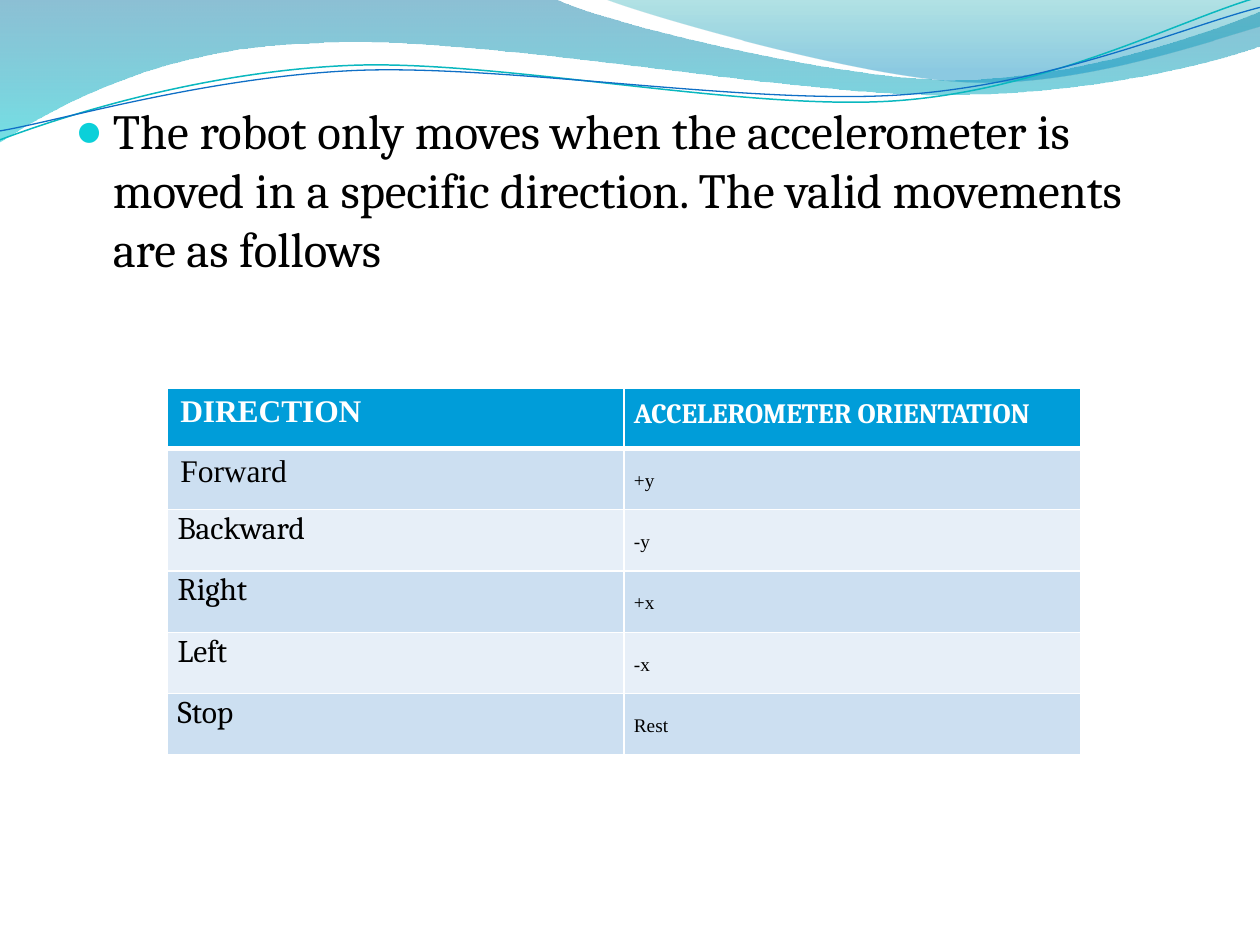
from lxml.etree import SubElement
from pptx import Presentation
from pptx.dml.color import RGBColor
from pptx.enum.text import MSO_ANCHOR
from pptx.oxml.ns import qn
from pptx.util import Cm, Pt

# Direction, orientation, whether the letters are set slightly tighter
ROWS = [("Forward", "+y", False), ("Backward", "-y", True), ("Right", "+x", True),
        ("Left", "-x", True), ("Stop", "Rest", False)]

# Sentence parts and whether they are set slightly tighter
SENTENCE = [("The robot only moves ", False), ("when ", True), ("the ", False),
            ("accelerometer is ", True), ("moved in a ", False),
            ("specific direction. ", True), ("The ", False),
            ("valid movements are as ", True), ("follows", False)]

# Wave outlines in cm from the box corner: 2 numbers for a line, 6 for a curve
LEFT_WAVE = [(0, 0), (11.18, -0.03),
             (12.09, 0.43, 16.87, 1.6, 19.25, 1.6),
             (21.67, 1.6, 24.33, 0.66, 25.4, 0.23), (25.43, 0.91),
             (24.97, 1.12, 22.1, 1.93, 18.95, 1.91),
             (15.8, 1.91, 9.7, 0.71, 6.53, 0.86),
             (3.28, 0.91, 1.17, 2.11, -0.03, 2.87), (0, 0)]
RIGHT_WAVE = [(12.17, -0.03),
              (12.93, 0.28, 17.32, 1.57, 19.53, 1.65),
              (21.74, 1.75, 24.41, 0.81, 25.4, 0.53), (25.4, 0), (12.17, -0.03)]
TEAL_LINE = [(0, 2.82),
             (1.22, 2.36, 4.01, 1.45, 7.04, 1.32),
             (10.03, 1.19, 15.06, 2.26, 18.11, 2.03),
             (21.16, 1.8, 23.83, 0.38, 25.35, -0.05)]
BLUE_LINE = [(0, 2.64),
             (1.19, 2.44, 4.17, 1.55, 7.19, 1.42),
             (10.24, 1.3, 15.16, 2.13, 18.21, 1.91),
             (21.23, 1.7, 23.9, 0.53, 25.4, 0.15)]


def color(hex_color):
    return RGBColor.from_string(hex_color)


def add_text(tf, text, size, font="Cambria", fill="000000", bold=False,
             spacing=None, tight=False):
    p = tf.paragraphs[0]
    if spacing:
        p.line_spacing = Pt(spacing)
    r = p.add_run()
    r.text = text
    r.font.size, r.font.name, r.font.bold = Pt(size), font, bold
    r.font.color.rgb = color(fill)
    if tight:
        r.font._element.set("spc", "-5")
    return p


def add_curve(s, x, y, outline, closed):
    points = [(x + Cm(px), y + Cm(py)) for seg in outline
              for px, py in zip(seg[::2], seg[1::2])]
    builder = s.shapes.build_freeform(*points[0], scale=1.0)
    builder.add_line_segments(points[1:], close=closed)
    sp = builder.convert_to_shape()
    # Join each three segments that describe a curve
    lines = iter(list(sp.element.iter(qn("a:lnTo"))))
    for seg in outline[1:]:
        first = next(lines)
        if len(seg) == 6:
            first.tag = qn("a:cubicBezTo")
            for _ in range(2):
                extra = next(lines)
                first.append(extra[0])
                extra.getparent().remove(extra)
    sp.shadow.inherit = False
    return sp


def add_waves(s, x, y):
    # Translucent bands: stops are position, colour, opacity in percent
    for outline, stops in (
            (LEFT_WAVE, [(0, "0074A1", 45), (100, "00C6CF", 55)]),
            (RIGHT_WAVE, [(0, "00A1A9", 30), (80, "008BBF", 45)])):
        sp = add_curve(s, x, y, outline, True)
        sp.line.fill.background()
        sp.fill.gradient()
        sp.fill.gradient_angle = 270
        for stop, (pos, hex_color, _) in zip(sp.fill.gradient_stops, stops):
            stop.position = pos / 100
            stop.color.rgb = color(hex_color)
        clrs = sp.element.spPr.find(qn("a:gradFill")).iter(qn("a:srgbClr"))
        for clr, (_, _, opacity) in zip(clrs, stops):
            SubElement(clr, qn("a:alpha"), val=str(opacity * 1000))
    # Thin lines
    for outline, hex_color, width in ((TEAL_LINE, "0AB8BF", 0.85),
                                      (BLUE_LINE, "0F6FC6", 0.75)):
        sp = add_curve(s, x, y, outline, False)
        sp.fill.background()
        sp.line.color.rgb = color(hex_color)
        sp.line.width = Pt(width)


def fill_body(sp, x, y, w, h):
    sp.left, sp.top, sp.width, sp.height = x, y, w, h
    tf = sp.text_frame
    tf.word_wrap, tf.vertical_anchor = True, MSO_ANCHOR.TOP
    for text, tight in SENTENCE:
        p = add_text(tf, text, 28, tight=tight)
    p.space_before = Pt(5.6)
    # Bullet
    pPr = p._p.get_or_add_pPr()
    pPr.set("marL", str(Cm(0.76)))
    pPr.set("indent", str(-Cm(0.76)))
    SubElement(SubElement(pPr, qn("a:buClr")), qn("a:srgbClr"), val="0BD0D9")
    SubElement(pPr, qn("a:buSzPct"), val="95000")
    SubElement(pPr, qn("a:buFont"), typeface="Arial")
    SubElement(pPr, qn("a:buChar"), char="●")


def format_cell(cell, fill, bottom):
    # Borders come before the fill in the cell properties
    tcPr = cell._tc.get_or_add_tcPr()
    for side, width in (("L", 1), ("R", 1), ("T", 1), ("B", bottom)):
        ln = SubElement(tcPr, qn(f"a:ln{side}"), w=str(Pt(width)))
        SubElement(SubElement(ln, qn("a:solidFill")), qn("a:srgbClr"), val="FFFFFF")
    cell.fill.solid()
    cell.fill.fore_color.rgb = color(fill)


def set_margins(cell, left, top):
    cell.margin_left, cell.margin_top = Cm(left), Cm(top)
    cell.margin_right = cell.margin_bottom = 0


def add_directions(s, x, y, w, h):
    table = s.shapes.add_table(len(ROWS) + 1, 2, x, y, w, h).table
    # Header
    table.rows[0].height = Cm(1.22)
    left, right = table.cell(0, 0), table.cell(0, 1)
    add_text(left.text_frame, "DIRECTION", 18, "Times New Roman", "FFFFFF", True,
             tight=True)
    add_text(right.text_frame, "ACCELEROMETER ORIENTATION", 16, fill="FFFFFF",
             bold=True, spacing=12.3, tight=True)
    set_margins(right, 0.2, 0.43)
    for cell in (left, right):
        format_cell(cell, "009DD9", 3)
    # Directions
    for i, (direction, orientation, tight) in enumerate(ROWS, 1):
        left, right = table.cell(i, 0), table.cell(i, 1)
        if i == 1:
            add_text(left.text_frame, direction, 18, "Times New Roman")
        else:
            add_text(left.text_frame, direction, 18, tight=tight)
            set_margins(left, 0.2, 0.03)
        add_text(right.text_frame, orientation, 11, "Times New Roman", spacing=12.3)
        set_margins(right, 0.2, 0.43)
        for cell in (left, right):
            format_cell(cell, "CCDFF1" if i % 2 else "E7EFF8", 1)


def main():
    prs = Presentation()
    prs.slide_width, prs.slide_height = Cm(25.4), Cm(19.05)
    s = prs.slides.add_slide(prs.slide_layouts[1])
    title = s.shapes.title.element
    title.getparent().remove(title)
    add_waves(s, 0, 0)
    fill_body(s.placeholders[1], Cm(1.26), Cm(1.9), Cm(22.86), Cm(15.68))
    add_directions(s, Cm(3.38), Cm(7.82), Cm(18.4), Cm(7.42))
    prs.save("out.pptx")


if __name__ == "__main__":
    main()
